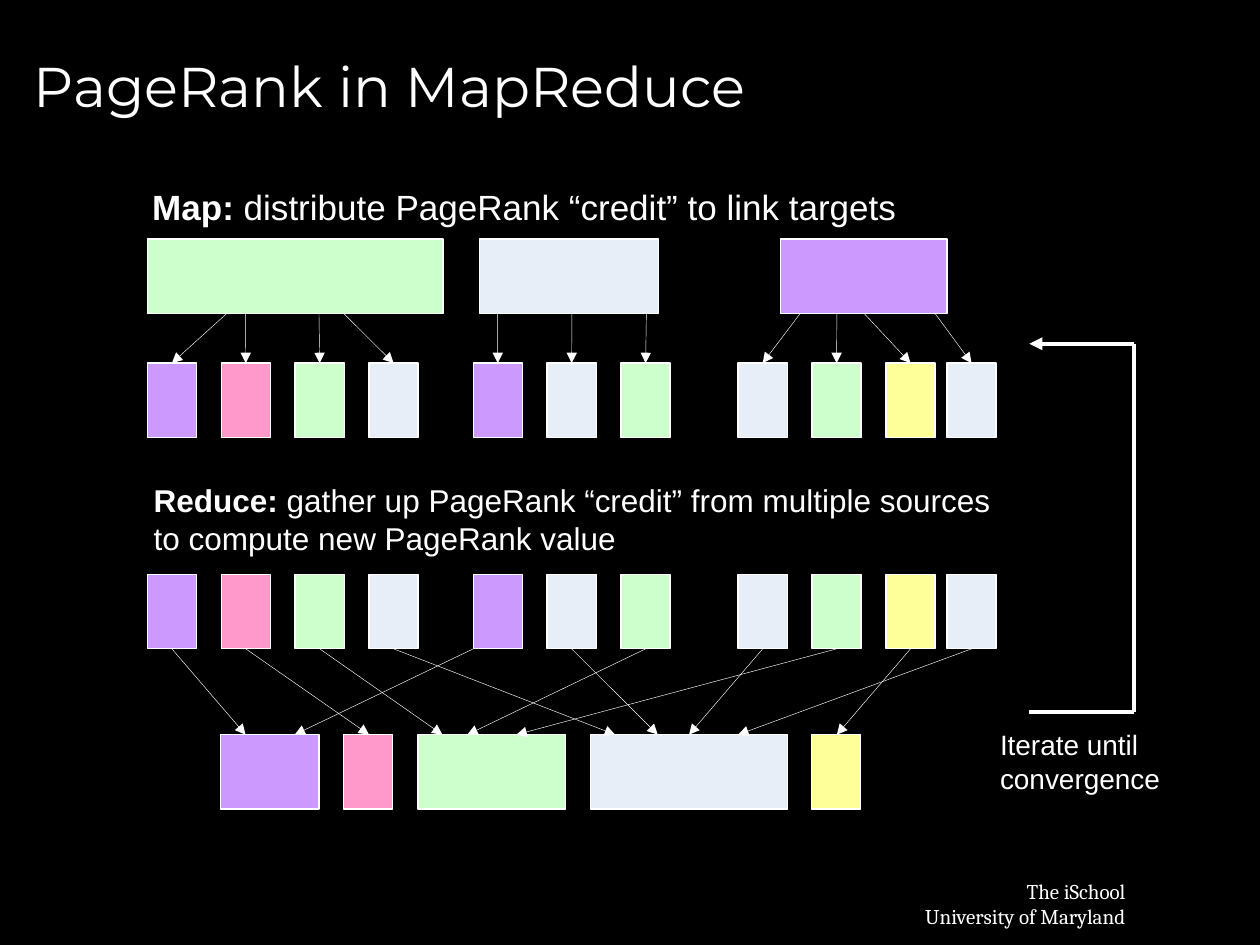
import pptx
import pptx.util
import pptx.dml.color
import pptx.enum.shapes
import pptx.enum.text
import pptx.oxml
from pptx.util import Cm

COLORS = {
    "black": "000000", "white": "FFFFFF", "green": "CCFFCC", "blue": "E8EEF7",
    "purple": "CC99FF", "pink": "FF99CC", "yellow": "FFFF99",
}
BOX_W, BOX_H, PITCH = 0.99, 1.5, 1.49
PAGES_Y, CREDITS_Y, GATHER_Y, TOTALS_Y = 4.82, 7.32, 11.58, 14.81

# Pages: left, width, colour
PAGES = [(2.97, 5.96, "green"), (9.67, 3.6, "blue"), (15.74, 3.35, "purple")]
TOTALS = [(4.45, 1.98, "purple"), (6.93, 0.99, "pink"), (8.43, 2.97, "green"),
          (11.91, 3.96, "blue"), (16.36, 0.99, "yellow")]
# Credit groups: left of the first box, colours
GROUPS = [(2.97, ["purple", "pink", "green", "blue"]),
          (9.54, ["purple", "blue", "green"]),
          (14.88, ["blue", "green", "yellow"]),
          (19.09, ["blue"])]
CREDITS = [(left + i * PITCH, BOX_W, color)
           for left, colors in GROUPS for i, color in enumerate(colors)]
# One x per credit: where its arrow leaves a page, and where it meets a total
PAGE_EXITS = [4.57, 4.95, 6.43, 6.93, 10.03, 11.53, 13.03, 16.13, 16.87, 17.42, 18.85]
TOTAL_ENTRIES = [4.95, 7.44, 8.92, 12.4, 5.94, 13.26, 9.42, 13.89, 10.41, 16.87, 14.88]
CROSSING_PURPLE = 4  # its arrow leaves from the left corner


def rgb(name):
    return pptx.dml.color.RGBColor.from_string(COLORS[name])


class Deck:
    def __init__(self, prs):
        self.font, self.ink = "Arial", "white"
        self.s = prs.slides.add_slide(prs.slide_layouts[5])
        fill = self.s.background.fill
        fill.solid()
        fill.fore_color.rgb = rgb("black")

    def style(self, p, size, font=None):
        p.font.name = font or self.font
        p.font.size = pptx.util.Pt(size)
        p.font.color.rgb = rgb(self.ink)

    def title(self, text, x, y, w, h):
        sp = self.s.shapes.title
        sp.left, sp.top, sp.width, sp.height = Cm(x), Cm(y), Cm(w), Cm(h)
        tf = sp.text_frame
        tf.text = text
        tf.vertical_anchor = pptx.enum.text.MSO_ANCHOR.MIDDLE
        p = tf.paragraphs[0]
        p.alignment = pptx.enum.text.PP_ALIGN.LEFT
        self.style(p, 32, "Montserrat")

    def text(self, lines, x, y, w, h, size, font=None, align="LEFT", wrap=False, inset=True):
        """Each line is a list of (text, bold) runs."""
        tf = self.s.shapes.add_textbox(Cm(x), Cm(y), Cm(w), Cm(h)).text_frame
        tf.word_wrap = wrap
        if not inset:
            tf.margin_left = tf.margin_right = tf.margin_top = tf.margin_bottom = 0
        for i, runs in enumerate(lines):
            p = tf.add_paragraph() if i else tf.paragraphs[0]
            p.alignment = pptx.enum.text.PP_ALIGN[align]
            self.style(p, size, font)
            for content, bold in runs:
                r = p.add_run()
                r.text, r.font.bold = content, bold

    def row(self, boxes, y):
        for x, w, color in boxes:
            sp = self.s.shapes.add_shape(pptx.enum.shapes.MSO_SHAPE.RECTANGLE,
                                         Cm(x), Cm(y), Cm(w), Cm(BOX_H))
            sp.shadow.inherit = False
            sp.fill.solid()
            sp.fill.fore_color.rgb = rgb(color)
            sp.line.color.rgb = rgb(self.ink)
            sp.line.width = pptx.util.Pt(0.75)

    def line(self, x1, y1, x2, y2, width=0.25, arrow=True):
        c = self.s.shapes.add_connector(pptx.enum.shapes.MSO_CONNECTOR.STRAIGHT,
                                        Cm(x1), Cm(y1), Cm(x2), Cm(y2))
        c.line.color.rgb = rgb(self.ink)
        c.line.width = pptx.util.Pt(width)
        if arrow:
            end = pptx.oxml.xmlchemy.OxmlElement("a:tailEnd")
            end.set("type", "triangle")
            c.line._get_or_add_ln().append(end)
        c._element.spPr.append(pptx.oxml.xmlchemy.OxmlElement("a:effectLst"))


def main():
    prs = pptx.Presentation()
    prs.slide_width, prs.slide_height = Cm(25.4), Cm(19.05)
    deck = Deck(prs)
    deck.title("PageRank in MapReduce", 0.43, 0.3, 24.13, 2.84)
    deck.text([[("The iSchool", False)], [("University of Maryland", False)]],
              18.01, 17.58, 4.93, 1.27, 12, font="Cambria", align="RIGHT")

    deck.text([[("Map:", True), (" distribute PageRank “credit” to link targets", False)]],
              3.07, 3.73, 15.01, 0.84, 20, inset=False)
    deck.row(PAGES, PAGES_Y)
    deck.row(CREDITS, CREDITS_Y)

    deck.text([[("Reduce:", True), (" gather up PageRank “credit” from multiple sources "
                                    "to compute new PageRank value", False)]],
              3.1, 9.7, 17.42, 1.52, 18, wrap=True, inset=False)
    deck.row(CREDITS, GATHER_Y)
    deck.row(TOTALS, TOTALS_Y)

    for i, (left, w, _) in enumerate(CREDITS):
        center = left + w / 2
        deck.line(PAGE_EXITS[i], PAGES_Y + BOX_H, center, CREDITS_Y)
        start = left if i == CROSSING_PURPLE else center
        deck.line(start, GATHER_Y + BOX_H, TOTAL_ENTRIES[i], TOTALS_Y)

    inner, outer, top, bottom = 20.75, 22.86, 6.93, 14.35
    deck.line(inner, bottom, outer, bottom, 2.5, arrow=False)
    deck.line(outer, bottom, outer, top, 2.5, arrow=False)
    deck.line(outer, top, inner, top, 2.5)
    deck.text([[("Iterate until", False)], [("convergence", False)]],
              19.91, 14.55, 3.73, 1.63, 16)
    prs.save("out.pptx")


if __name__ == "__main__":
    main()
